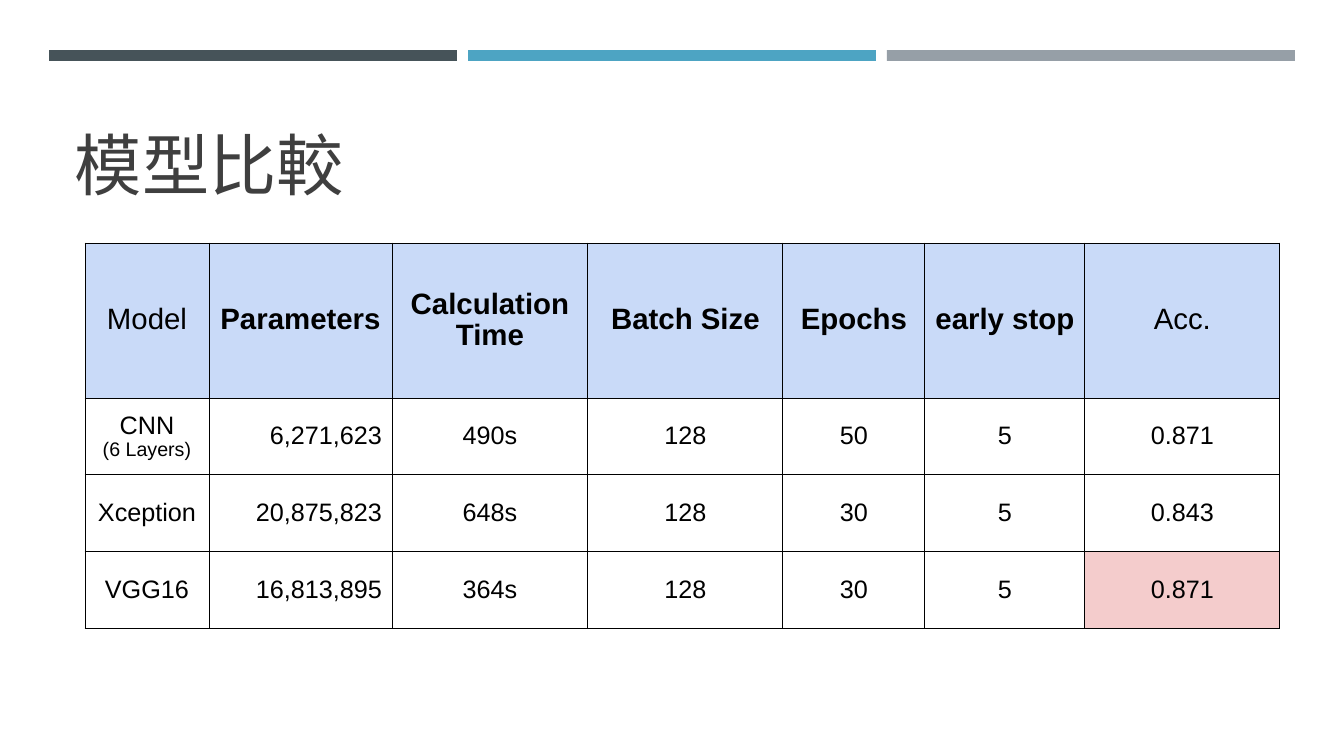
import pptx
import pptx.util
import pptx.dml.color
import pptx.enum.shapes
import pptx.enum.text
import pptx.oxml
import pptx.oxml.ns

RGBColor = pptx.dml.color.RGBColor
SLATE = RGBColor(0x46, 0x53, 0x59)
BLUE = RGBColor(0x4D, 0xA4, 0xC3)
GRAY = RGBColor(0x96, 0x9F, 0xA7)
TITLE_GRAY = RGBColor(0x3F, 0x3F, 0x3F)
BLACK = RGBColor(0, 0, 0)
WHITE = RGBColor(0xFF, 0xFF, 0xFF)
HEADER_BLUE = RGBColor(0xC9, 0xDA, 0xF8)
HIGHLIGHT_PINK = RGBColor(0xF4, 0xCC, 0xCC)
ALIGN = pptx.enum.text.PP_ALIGN
ANCHOR = pptx.enum.text.MSO_ANCHOR


def px(length):
    return round(length * 914400 / 100.8)


def set_font(paragraph, size, color, bold=False):
    paragraph.font.name = "Arial"
    paragraph.font.size = pptx.util.Pt(size)
    paragraph.font.color.rgb = color
    paragraph.font.bold = bold


presentation = pptx.Presentation()
presentation.slide_width = px(1344)
presentation.slide_height = px(756)
slide = presentation.slides.add_slide(presentation.slide_layouts[6])

for index, color in enumerate([SLATE, BLUE, GRAY]):
    bar = slide.shapes.add_shape(
        pptx.enum.shapes.MSO_SHAPE.RECTANGLE, px(49 + 419 * index), px(50), px(408), px(11))
    bar.shadow.inherit = False
    bar.fill.solid()
    bar.fill.fore_color.rgb = color
    bar.line.fill.background()

title = slide.shapes.add_textbox(px(65), px(78), px(1216), px(131))
title.text_frame.word_wrap = True
title.text_frame.vertical_anchor = ANCHOR.BOTTOM
title.text_frame.text = "模型比較"
set_font(title.text_frame.paragraphs[0], 48, TITLE_GRAY)

rows = [
    ["Model", "Parameters", "Calculation\nTime", "Batch Size", "Epochs", "early stop", "Acc."],
    ["CNN\n(6 Layers)", "6,271,623", "490s", "128", "50", "5", "0.871"],
    ["Xception", "20,875,823", "648s", "128", "30", "5", "0.843"],
    ["VGG16", "16,813,895", "364s", "128", "30", "5", "0.871"],
]
column_widths = [124, 183, 196, 195, 142, 160, 195]
row_heights = [155, 77, 77, 77]
table = slide.shapes.add_table(
    len(rows), len(column_widths), px(85), px(243),
    px(sum(column_widths)), px(sum(row_heights))).table
for column, width in zip(table.columns, column_widths):
    column.width = px(width)
for row, height in zip(table.rows, row_heights):
    row.height = px(height)

last_row, last_column = len(rows) - 1, len(column_widths) - 1
for row_index, texts in enumerate(rows):
    for column_index, text in enumerate(texts):
        cell = table.cell(row_index, column_index)
        header = row_index == 0
        cell.text = text
        cell.vertical_anchor = ANCHOR.MIDDLE
        for paragraph in cell.text_frame.paragraphs:
            numeric = column_index == 1 and not header
            paragraph.alignment = ALIGN.RIGHT if numeric else ALIGN.CENTER
            paragraph.line_spacing = 0.95
            size = 21 if header else 14 if paragraph.text.startswith("(") else 18
            set_font(paragraph, size, BLACK, header and 0 < column_index < last_column)
        properties = cell._tc.get_or_add_tcPr()
        for side in ["lnL", "lnR", "lnT", "lnB"]:
            properties.append(pptx.oxml.parse_xml(
                f'<a:{side} {pptx.oxml.ns.nsdecls("a")} w="9525">'
                f'<a:solidFill><a:srgbClr val="{BLACK}"/></a:solidFill></a:{side}>'))
        cell.fill.solid()
        best = (row_index, column_index) == (last_row, last_column)
        cell.fill.fore_color.rgb = HEADER_BLUE if header else HIGHLIGHT_PINK if best else WHITE

presentation.save("out.pptx")
